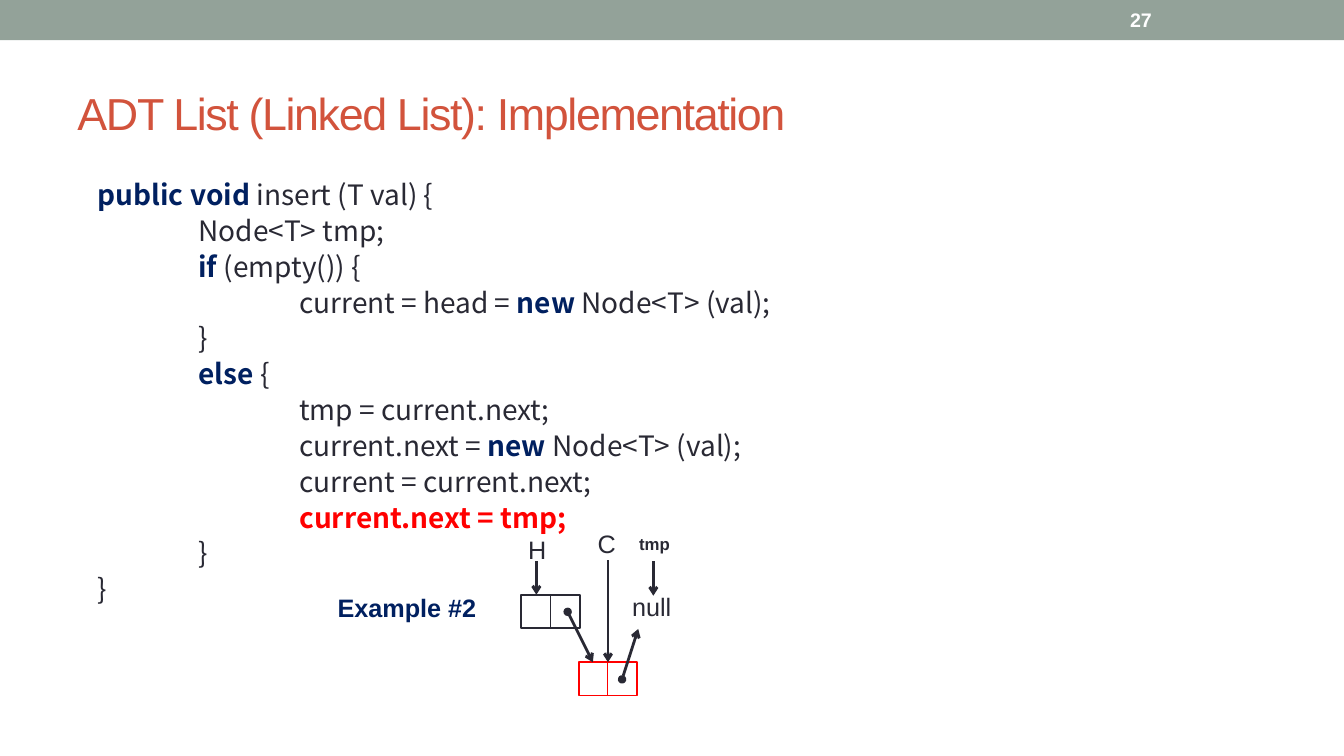
from pptx import Presentation
from pptx.dml.color import RGBColor
from pptx.enum import shapes, text
from pptx.oxml.ns import qn
from pptx.util import Inches, Pt
from lxml import etree

COLORS = {"bar": "93A299", "title": "D2533C", "ink": "292934",
          "keyword": "002060", "red": "FF0000", "white": "FFFFFF"}
RGB = {name: RGBColor.from_string(value) for name, value in COLORS.items()}

prs = Presentation()
prs.slide_width, prs.slide_height = Inches(13.33), Inches(7.5)
s = prs.slides.add_slide(prs.slide_layouts[6])


def add_label(words, x, y, w, h, size, color, bold=False, wrap=False):
    tf = s.shapes.add_textbox(Inches(x), Inches(y), Inches(w), Inches(h)).text_frame
    tf.word_wrap = wrap
    tf.vertical_anchor = text.MSO_ANCHOR.MIDDLE if wrap else text.MSO_ANCHOR.TOP
    p = tf.paragraphs[0]
    p.text = words
    p.font.name, p.font.size, p.font.bold = "Arial", Pt(size), bold
    p.font.color.rgb = RGB[color]
    return p


def add_line(x1, y1, x2, y2, color="ink", width=2, head=None, tail=None):
    line = s.shapes.add_connector(shapes.MSO_CONNECTOR.STRAIGHT,
                                  Inches(x1), Inches(y1), Inches(x2), Inches(y2))
    line.line.color.rgb = RGB[color]
    line.line.width = Pt(width)
    ln = line.line._get_or_add_ln()
    for tag, kind in (("a:headEnd", head), ("a:tailEnd", tail)):
        if kind:
            etree.SubElement(ln, qn(tag), type=kind)
    etree.SubElement(line._element.spPr, qn("a:effectLst"))
    return line


# Top bar, slide number and title
bar = s.shapes.add_shape(shapes.MSO_SHAPE.RECTANGLE, 0, 0, prs.slide_width, Inches(0.4))
bar.shadow.inherit = False
bar.fill.solid()
bar.fill.fore_color.rgb = RGB["bar"]
bar.line.fill.background()
add_label("27", 11.11, 0.02, 1.56, 0.36, 14, "white", bold=True, wrap=True)
title = add_label("ADT List (Linked List): Implementation",
                  0.67, 0.58, 12, 1.08, 32, "title", wrap=True)
title.runs[0]._r.get_or_add_rPr().set("spc", "-100")

# Code: indent level, then runs of (words, style)
code = [
    (0, [("public void ", "keyword"), ("insert (T val) {", "ink")]),
    (1, [("Node<T> tmp;", "ink")]),
    (1, [("if", "keyword"), (" (empty()) {", "ink")]),
    (2, [("current = head = ", "ink"), ("new", "keyword"), (" Node<T> (val);", "ink")]),
    (1, [("}", "ink")]),
    (1, [("else", "keyword"), (" {", "ink")]),
    (2, [("tmp = current.next;", "ink")]),
    (2, [("current.next = ", "ink"), ("new", "keyword"), (" Node<T> (val);", "ink")]),
    (2, [("current = current.next;", "ink")]),
    (2, [("current.next = tmp;", "red")]),
    (1, [("}", "ink")]),
    (0, [("}", "ink")]),
]
tf = s.shapes.add_textbox(Inches(0.67), Inches(1.75), Inches(12), Inches(5.33)).text_frame
tf.word_wrap = True
for i, (level, runs) in enumerate(code):
    p = tf.add_paragraph() if i else tf.paragraphs[0]
    p.font.name, p.font.size = "Noto Sans CJK SC", Pt(20)
    p.line_spacing = 0.9
    p.space_before = Pt(4 if i else 0)
    p._p.get_or_add_pPr().set("marL", str(Inches(0.2 + level)))
    for words, style in runs:
        r = p.add_run()
        r.text = words
        r.font.bold = style != "ink"
        r.font.color.rgb = RGB[style]

# List nodes, each split in two by a divider
NODE_W, NODE_H = 0.58, 0.33
nodes = []
for x, y, color in ((5.17, 5.9, "ink"), (5.74, 6.57, "red")):
    node = s.shapes.add_shape(shapes.MSO_SHAPE.RECTANGLE, Inches(x), Inches(y),
                              Inches(NODE_W), Inches(NODE_H))
    node.shadow.inherit = False
    node.fill.solid()
    node.fill.fore_color.rgb = RGB["white"]
    node.line.color.rgb = RGB[color]
    node.line.width = Pt(1.25)
    middle = x + NODE_W / 2
    divider = add_line(middle, y, middle, y + NODE_H, color, 0.75)
    divider.begin_connect(node, 0)
    divider.end_connect(node, 2)
    nodes.append(node)

# Pointers to the nodes and links between them
add_line(5.32, 5.57, 5.32, 5.9, tail="arrow")
add_line(6.48, 5.57, 6.48, 5.91, tail="arrow")
add_line(6.03, 5.56, 6.03, 6.57, tail="arrow").end_connect(nodes[1], 0)
add_line(5.63, 6.07, 5.88, 6.57, head="oval", tail="arrow")
add_line(6.17, 6.74, 6.33, 6.24, head="oval", tail="arrow")

# Diagram labels
add_label("H", 5.14, 5.25, 0.39, 0.4, 18, "ink")
add_label("C", 5.83, 5.19, 0.39, 0.4, 18, "ink")
add_label("tmp", 6.24, 5.25, 0.53, 0.3, 12, "ink", bold=True)
add_label("null", 6.17, 5.82, 0.59, 0.4, 18, "ink")
add_label("Example #2", 3.25, 5.83, 1.64, 0.4, 18, "keyword", bold=True)

prs.save("out.pptx")
